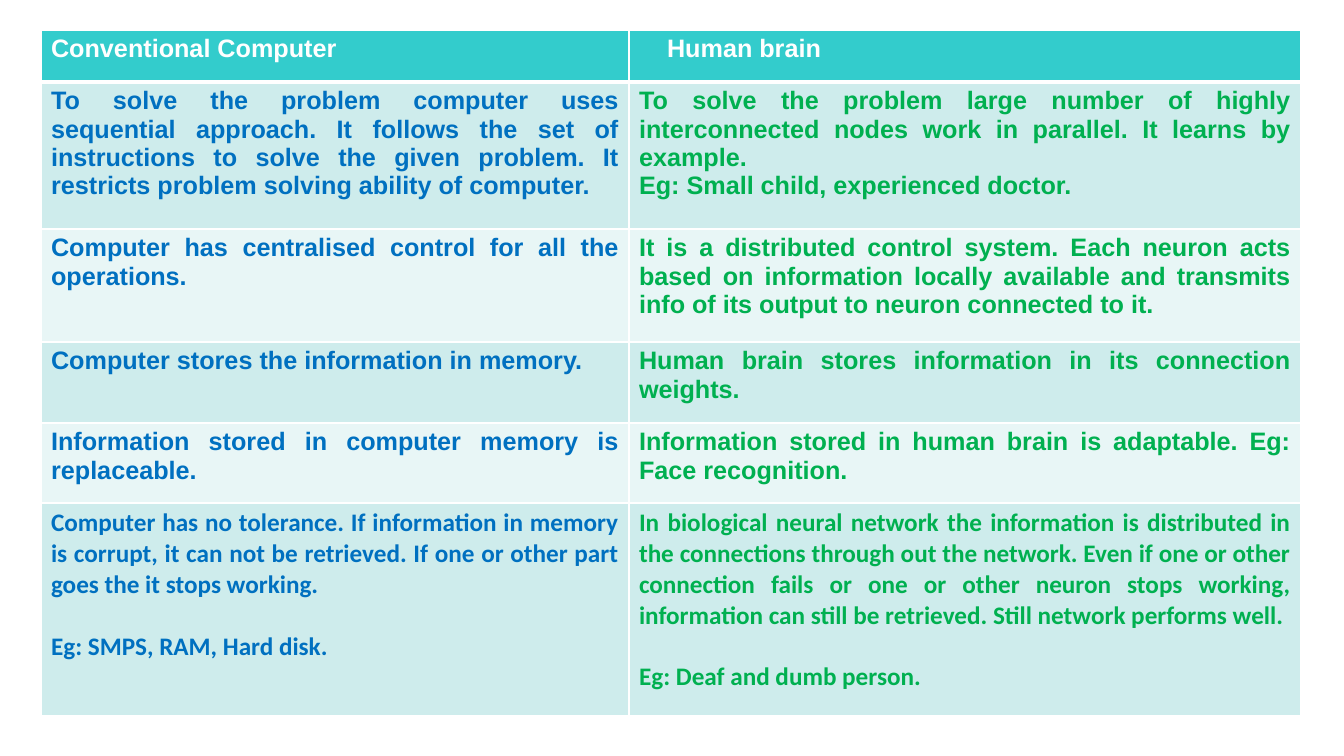
from pptx import Presentation, util as u
from pptx.dml.color import RGBColor
from pptx.enum import text
from pptx.oxml import parse_xml
from pptx.oxml.ns import nsdecls

# Content: one row per line, each cell a list of paragraphs
HEADS = ["Conventional Computer", "Human brain"]
ROWS = [
    (["To solve the problem computer uses sequential approach. It follows the set of "
      "instructions to solve the given problem. It restricts problem solving ability "
      "of computer."],
     ["To solve the problem large number of highly interconnected nodes work in "
      "parallel. It learns by example.",
      "Eg: Small child, experienced doctor."]),
    (["Computer has centralised control for all the operations."],
     ["It is a distributed control system. Each neuron acts based on information "
      "locally available and transmits info of its output to neuron connected to it."]),
    (["Computer stores the information in memory."],
     ["Human brain stores information in its connection weights."]),
    (["Information stored in computer memory is replaceable."],
     ["Information stored in human brain is adaptable. Eg: Face recognition."]),
    (["Computer has no tolerance. If information in memory is corrupt, it can not be "
      "retrieved. If one or other part goes the it stops working.",
      "Eg: SMPS, RAM, Hard disk."],
     ["In biological neural network the information is distributed in the connections "
      "through out the network. Even if one or other connection fails or one or other "
      "neuron stops working, information can still be retrieved. Still network "
      "performs well.",
      "Eg: Deaf and dumb person."]),
]

# Colours
WHITE = RGBColor(0xFF, 0xFF, 0xFF)
TEAL = RGBColor(0x33, 0xCC, 0xCC)
BANDS = [RGBColor(0xCE, 0xEC, 0xEC), RGBColor(0xE8, 0xF6, 0xF6)]
INKS = [RGBColor(0x00, 0x70, 0xC0), RGBColor(0x00, 0xB0, 0x50)]

# Lengths in px
SCALE = 914400 / 100.8
SLIDE = (1344, 756)
LEFT, TOP = 41, 30
COLS = [588, 672]
HIGHS = [52, 147, 113, 81, 80, 213]
INDENT = 28
GAP = u.Pt(22)


def px(n):
    return u.Emu(round(n * SCALE))


def edge(cell, row):
    """White borders, thick between the heading and the body."""
    wide = {"L": 1, "R": 1, "T": 3 if row == 1 else 1, "B": 3 if row == 0 else 1}
    props = cell._tc.get_or_add_tcPr()
    for i, (side, pts) in enumerate(wide.items()):
        props.insert(i, parse_xml(
            f'<a:ln{side} {nsdecls("a")} w="{u.Pt(pts)}"><a:solidFill>'
            f'<a:srgbClr val="{WHITE}"/></a:solidFill></a:ln{side}>'))


def write(cell, paras, ink, face, form):
    frame = cell.text_frame
    for i, line in enumerate(paras):
        para = frame.add_paragraph() if i else frame.paragraphs[0]
        run = para.add_run()
        run.text = line
        for key, val in {"name": face, "size": u.Pt(18), "bold": True}.items():
            setattr(run.font, key, val)
        run.font.color.rgb = ink
        for key, val in form.items():
            if i or key != "space_before":
                setattr(para, key, val)


def main():
    deck = Presentation()
    deck.slide_width, deck.slide_height = map(px, SLIDE)
    slide = deck.slides.add_slide(deck.slide_layouts[6])

    # Table frame
    grid = slide.shapes.add_table(
        len(HIGHS), len(COLS), px(LEFT), px(TOP), px(sum(COLS)), px(sum(HIGHS))).table
    for col, wide in zip(grid.columns, COLS):
        col.width = px(wide)
    for row, high in zip(grid.rows, HIGHS):
        row.height = px(high)

    # Heading row
    for c, head in enumerate(HEADS):
        write(grid.cell(0, c), [head], WHITE, "Arial", {})
    indent = grid.cell(0, 1).text_frame.paragraphs[0]._p.get_or_add_pPr()
    indent.set("marL", str(px(INDENT)))

    # Body rows: the last one is in Calibri, with a gap before its example
    for r, pair in enumerate(ROWS, 1):
        last = r == len(ROWS)
        form = {"alignment": text.PP_ALIGN.JUSTIFY, "space_before": GAP if last else 0}
        for c, paras in enumerate(pair):
            write(grid.cell(r, c), paras, INKS[c], "Calibri" if last else "Arial", form)

    # Fills and borders
    for r in range(len(HIGHS)):
        for c in range(len(COLS)):
            cell = grid.cell(r, c)
            cell.fill.solid()
            cell.fill.fore_color.rgb = BANDS[(r - 1) % 2] if r else TEAL
            edge(cell, r)

    deck.save("out.pptx")


if __name__ == "__main__":
    main()
